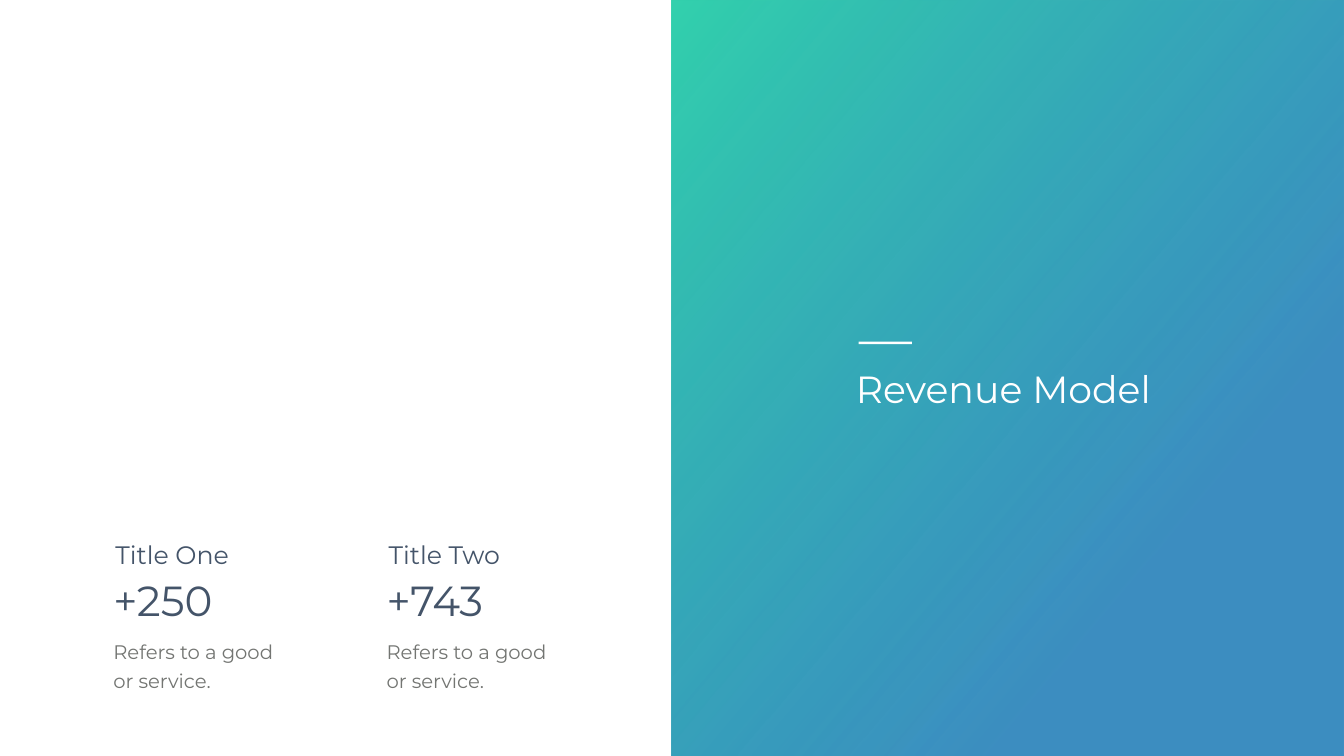
from dataclasses import dataclass

from lxml import etree
from pptx import Presentation
from pptx.dml.color import RGBColor
from pptx.enum.shapes import MSO_SHAPE
from pptx.enum.text import MSO_AUTO_SIZE
from pptx.oxml.ns import qn
from pptx.util import Pt

RECT = MSO_SHAPE.RECTANGLE
GROW = MSO_AUTO_SIZE.SHAPE_TO_FIT_TEXT
FONT = "Montserrat"
WIDE, HIGH = 1919.52, 1080
HALF = WIDE / 2
NAVY, GRAY, WHITE = "445469", "737572", "FFFFFF"
GREEN, BLUE = "33D1AD", "0D73B2"
LEFT, STEP = 154.8, 390.24


@dataclass
class Stat:
    title: str
    count: str
    note: str


STATS = [
    Stat("Title One", "+250", "Refers to a good or service."),
    Stat("Title Two", "+743", "Refers to a good or service."),
]


def rgb(code: str) -> RGBColor:
    return RGBColor.from_string(code)


def add_text(slide, text: str, x: float, y: float, w: float, h: float,
             size: float, color: str, wrap: bool = True,
             line: float | None = None) -> None:
    box = slide.shapes.add_textbox(Pt(x), Pt(y), Pt(w), Pt(h))
    frame = box.text_frame
    frame.text = text
    frame.word_wrap = wrap
    frame.auto_size = GROW
    para = frame.paragraphs[0]
    if line:
        para.line_spacing = Pt(line)
    font = para.runs[0].font
    font.name, font.size = FONT, Pt(size)
    font.color.rgb = rgb(color)


def add_rect(slide, x: float, y: float, w: float, h: float):
    rect = slide.shapes.add_shape(RECT, Pt(x), Pt(y), Pt(w), Pt(h))
    rect.shadow.inherit = False
    rect.line.fill.background()
    return rect


def add_panel(slide) -> None:
    """Fill the right half with a gradient that fades to 80 % opacity."""
    panel = add_rect(slide, HALF, 0, HALF, HIGH)
    panel.fill.gradient()
    panel.fill.gradient_angle = 320
    stops = panel.fill.gradient_stops
    for stop, place, color in zip(stops, (0, 0.73), (GREEN, BLUE)):
        stop.position = place
        stop.color.rgb = rgb(color)
    last = list(panel.element.spPr.iter(qn("a:srgbClr")))[-1]
    etree.SubElement(last, qn("a:alpha")).set("val", "80000")


def add_stat(slide, stat: Stat, x: float) -> None:
    add_text(slide, stat.title, x + 2.88, 766.8, 257.76, 51.12, 36, NAVY)
    add_text(slide, stat.note, x, 903.6, 246.96, 90, 28, GRAY, line=40.8)
    add_text(slide, stat.count, x, 817.2, 158.4, 79.92, 60, NAVY, wrap=False)


def main() -> None:
    deck = Presentation()
    deck.slide_width, deck.slide_height = Pt(WIDE), Pt(HIGH)
    slide = deck.slides.add_slide(deck.slide_layouts[6])
    add_panel(slide)
    for i, stat in enumerate(STATS):
        add_stat(slide, stat, LEFT + i * STEP)
    add_text(slide, "Revenue Model", 1215.36, 519.12, 448.56, 72.72, 54, WHITE)
    rule = add_rect(slide, 1226.16, 488.16, 76.32, 3.6)
    rule.fill.solid()
    rule.fill.fore_color.rgb = rgb(WHITE)
    deck.save("out.pptx")


if __name__ == "__main__":
    main()
